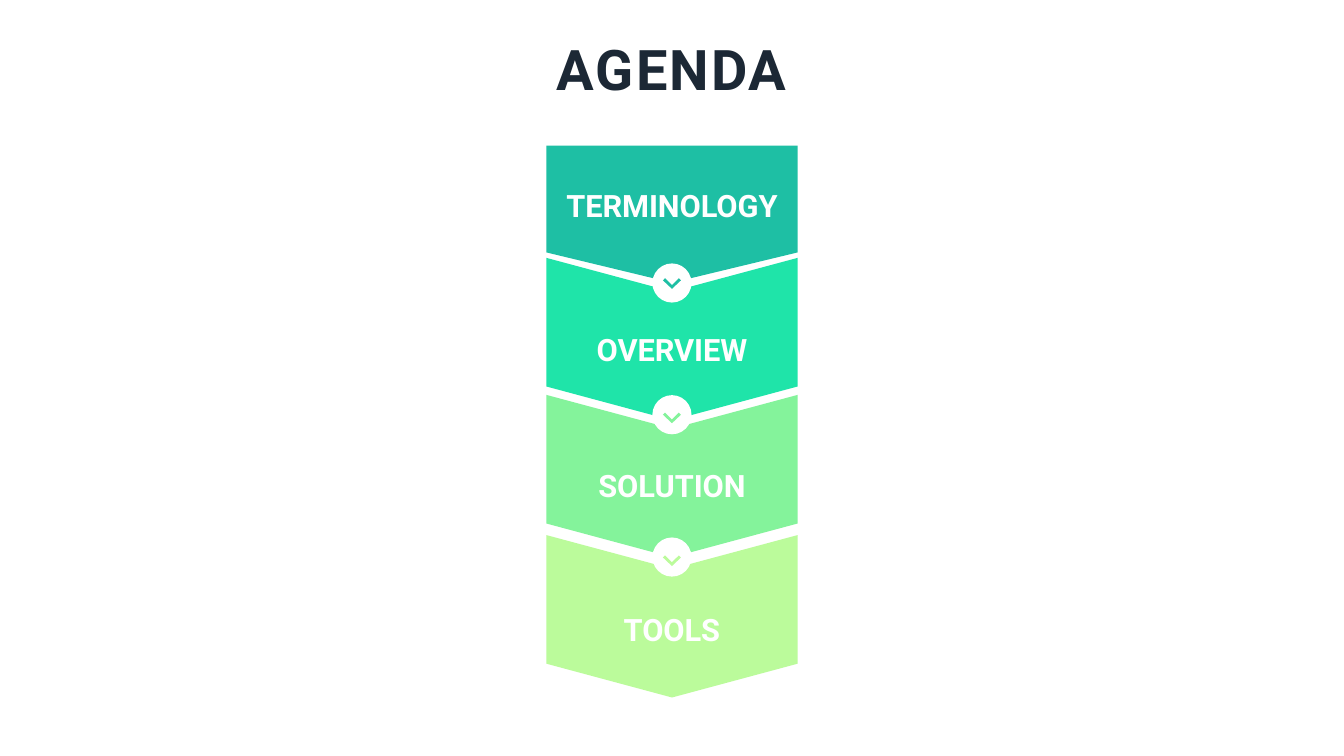
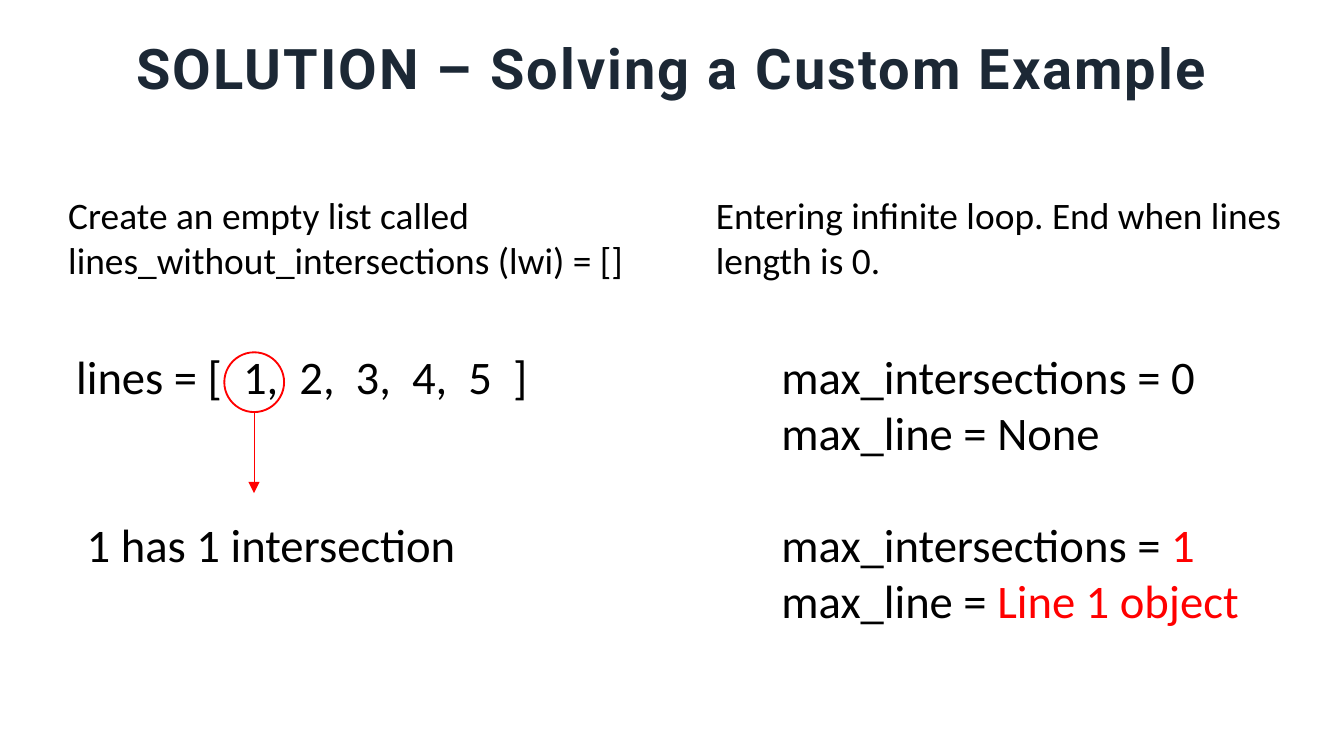
"""Build an agenda slide and a worked-example slide."""
from lxml import etree
from pptx import Presentation
from pptx.dml.color import RGBColor
from pptx.enum import shapes, text
from pptx.oxml import ns
from pptx.util import Cm, Pt

NAVY = RGBColor(0x1C, 0x28, 0x35)
TEAL = RGBColor(0x1E, 0xBF, 0xA4)
MINT = RGBColor(0x1F, 0xE4, 0xA9)
GREEN = RGBColor(0x84, 0xF3, 0x9B)
LIME = RGBColor(0xBB, 0xFB, 0x9B)
WHITE = RGBColor(0xFF, 0xFF, 0xFF)
BLACK = RGBColor(0, 0, 0)
RED = RGBColor(0xFF, 0, 0)
HEADING_FONT, BODY_FONT = "Roboto", "Calibri"
SLIDE_WIDTH = 25.4
CENTER = SLIDE_WIDTH / 2


def add_text(slide, left, top, width, height, lines, font, size, heading=False):
    """Add a text box from lines of (text, colour) runs and return its frame."""
    box = slide.shapes.add_textbox(Cm(left), Cm(top), Cm(width), Cm(height))
    frame = box.text_frame
    frame.word_wrap = True
    for index, line in enumerate(lines):
        paragraph = frame.add_paragraph() if index else frame.paragraphs[0]
        if heading:
            paragraph.alignment = text.PP_ALIGN.CENTER
        for words, color in line:
            run = paragraph.add_run()
            run.text = words
            run.font.name = font
            run.font.size = Pt(size)
            run.font.bold = heading
            run.font.color.rgb = color
    return frame


def add_filled(slide, kind, center_y, width, height, color):
    """Add a borderless shape on the vertical centre line."""
    shape = slide.shapes.add_shape(kind, Cm(CENTER - width / 2), Cm(center_y - height / 2),
                                   Cm(width), Cm(height))
    shape.shadow.inherit = False
    shape.fill.solid()
    shape.fill.fore_color.rgb = color
    shape.line.fill.background()
    return shape


presentation = Presentation()
presentation.slide_width, presentation.slide_height = Cm(SLIDE_WIDTH), Cm(14.29)

titles = [("AGENDA", 7.87, 0.66), ("SOLUTION – Solving a Custom Example", SLIDE_WIDTH, 0.64)]
for title, width, top in titles:
    slide = presentation.slides.add_slide(presentation.slide_layouts[6])
    frame = add_text(slide, CENTER - width / 2, top, width, 1.27, [[(title, NAVY)]],
                     HEADING_FONT, 30, heading=True)
    frame.margin_left = frame.margin_top = frame.margin_right = frame.margin_bottom = 0
    frame.vertical_anchor = text.MSO_ANCHOR.MIDDLE
    frame.paragraphs[0].runs[0]._r.get_or_add_rPr().set("spc", "110")
agenda, example = presentation.slides

PENTAGON, CHEVRON = shapes.MSO_SHAPE.PENTAGON, shapes.MSO_SHAPE.CHEVRON
steps = [
    ("TERMINOLOGY", PENTAGON, 4.05, 2.59, 0.221, TEAL, 3.89),
    ("OVERVIEW", CHEVRON, 6.41, 3.07, 0.208, MINT, 6.6),
    ("SOLUTION", CHEVRON, 9, 3.07, 0.208, GREEN, 9.17),
    ("TOOLS", CHEVRON, 11.65, 3.07, 0.208, LIME, 11.9),
]
for label, kind, center_y, length, point, color, label_y in steps:
    band = add_filled(agenda, kind, center_y, length, 4.75, color)
    band.rotation = 90
    band.adjustments[0] = point
    add_text(agenda, CENTER - 2.46, label_y - 0.48, 4.92, 0.96, [[(label, WHITE)]],
             HEADING_FONT, 16.5, heading=True)

tick = [(-0.13, -0.1), (0, 0.03), (0.13, -0.1), (0.17, -0.06), (0, 0.1), (-0.17, -0.06)]
for circle_y, tick_y, color in [(5.35, 5.36, TEAL), (7.84, 7.9, GREEN), (10.53, 10.6, LIME)]:
    add_filled(agenda, shapes.MSO_SHAPE.OVAL, circle_y, 0.74, 0.74, WHITE)
    corners = [(Cm(CENTER + x), Cm(tick_y + y)) for x, y in tick]
    builder = agenda.shapes.build_freeform(*corners[0])
    builder.add_line_segments(corners[1:])
    arrow = builder.convert_to_shape()
    arrow.shadow.inherit = False
    arrow.fill.solid()
    arrow.fill.fore_color.rgb = color
    arrow.line.fill.background()

state_lines = [
    [("lines = [  1,  2,  3,  4,  5  ]\tmax_intersections = 0", BLACK)],
    [("\tmax_line = None", BLACK)],
    [(" 1 has 1 intersection\tmax_intersections = ", BLACK), ("1", RED)],
    [("\tmax_line = ", BLACK), ("Line 1 object", RED)],
]
state = add_text(example, 1.19, 6.45, 22.96, 5.59, state_lines, BODY_FONT, 25)
state.paragraphs[2].space_before = Pt(30)
for paragraph in state.paragraphs:
    tabs = etree.SubElement(paragraph._p.get_or_add_pPr(), ns.qn("a:tabLst"))
    etree.SubElement(tabs, ns.qn("a:tab"), pos=str(Cm(13.33)), algn="l")

ring = example.shapes.add_shape(shapes.MSO_SHAPE.OVAL, Cm(4.24), Cm(6.66), Cm(1.13), Cm(1.13))
ring.shadow.inherit = False
ring.fill.background()
ring.line.color.rgb = RED
ring.line.width = Pt(1)

pointer = example.shapes.add_connector(shapes.MSO_CONNECTOR.STRAIGHT,
                                       Cm(4.8), Cm(7.79), Cm(4.8), Cm(9.32))
pointer.line.color.rgb = RED
pointer.line.width = Pt(0.5)
etree.SubElement(pointer.line._get_or_add_ln(), ns.qn("a:tailEnd"), type="triangle")
etree.SubElement(pointer._element.spPr, ns.qn("a:effectLst"))

notes = [
    (13.28, "Entering infinite loop. End when lines length is 0."),
    (1.04, "Create an empty list called lines_without_intersections (lwi) = []"),
]
for left, words in notes:
    add_text(example, left, 3.51, 11.63, 1.96, [[(words, BLACK)]], BODY_FONT, 20)

presentation.save("out.pptx")
